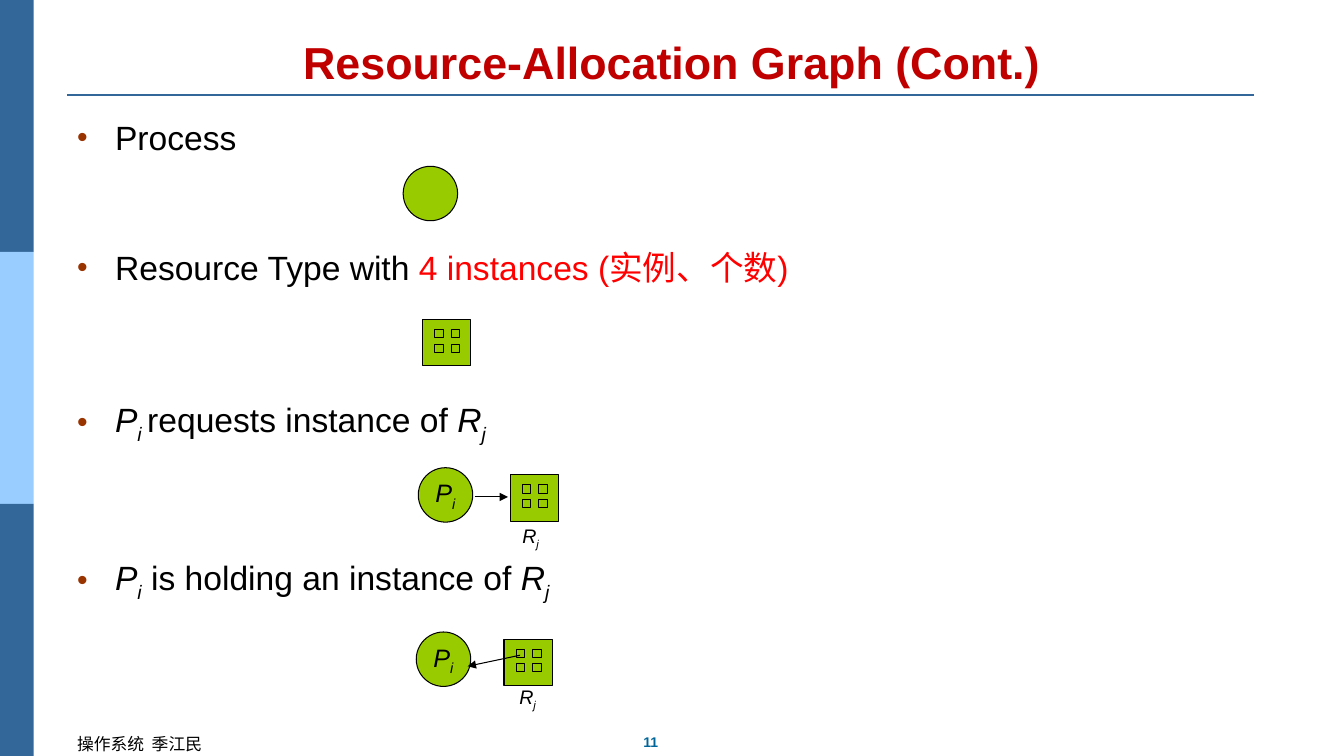
import pptx
import pptx.util
import pptx.dml.color
import pptx.enum.shapes
import pptx.enum.text
import pptx.oxml.ns
from lxml import etree

Pt = pptx.util.Pt
SHAPE = pptx.enum.shapes.MSO_SHAPE
ALIGN = pptx.enum.text.PP_ALIGN
ANCHOR = pptx.enum.text.MSO_ANCHOR
qn = pptx.oxml.ns.qn

COLORS = {"band": "336699", "band_light": "99CCFF", "title": "C00000",
          "page": "006699", "bullet": "993300", "accent": "FF0000",
          "node": "99CC00", "ink": "000000"}
COLS, ROWS = 40, 22.5  # square grid, three units to the inch
NODE, BOX_W, BOX_H = 1.62, 1.44, 1.38
ITALIC = {"italic": True}
SUB = {"italic": True, "baseline": -25000}
PI = [("P", ITALIC), ("i", SUB)]
RJ = [("R", ITALIC), ("j", SUB)]


def unit(n):
    """Turn grid units into a length."""
    return pptx.util.Inches(n / 3)


def rgb(name):
    """Look up a named colour."""
    return pptx.dml.color.RGBColor.from_string(COLORS[name])


def apply(obj, fmt):
    """Set attributes of obj from a dict."""
    for key, value in fmt.items():
        setattr(obj, key, value)


def add_runs(p, runs, size, color="ink", bold=False):
    """Fill a paragraph with (text, format) runs."""
    for text, extra in runs:
        fmt = {"name": "Arial", "size": Pt(size), "bold": bold, **extra}
        baseline = fmt.pop("baseline", None)
        r = p.add_run()
        r.text = text
        r.font.color.rgb = rgb(fmt.pop("color", color))
        apply(r.font, fmt)
        if baseline:
            r.font._element.set("baseline", str(baseline))


def add_text(shapes, box, runs, size, color="ink", bold=False,
             align=ALIGN.CENTER, **frame):
    """Add a one-paragraph text box."""
    tf = shapes.add_textbox(*map(unit, box)).text_frame
    apply(tf, {"word_wrap": True, **frame})
    p = tf.paragraphs[0]
    p.alignment = align
    add_runs(p, runs, size, color, bold)


def add_bullets(s, box, items):
    """Add bulleted paragraphs given as (space before, runs)."""
    tf = s.shapes.add_textbox(*map(unit, box)).text_frame
    apply(tf, {"word_wrap": True, "margin_top": unit(0.24)})
    for i, (before, runs) in enumerate(items):
        p = tf.paragraphs[0] if i == 0 else tf.add_paragraph()
        p.space_before = Pt(before)
        pPr = p._p.get_or_add_pPr()
        indent = unit(1.13)
        pPr.set("marL", str(indent))
        pPr.set("indent", str(-indent))
        clr = etree.SubElement(pPr, qn("a:buClr"))
        etree.SubElement(clr, qn("a:srgbClr"), val=COLORS["bullet"])
        etree.SubElement(pPr, qn("a:buSzPct"), val="90000")
        etree.SubElement(pPr, qn("a:buFont"), typeface="Arial")
        etree.SubElement(pPr, qn("a:buChar"), char="•")
        add_runs(p, runs, 24)


def add_block(shapes, kind, box, fill="node", outlined=True):
    """Add a filled preset shape."""
    sp = shapes.add_shape(kind, *map(unit, box))
    sp.shadow.inherit = False
    sp.fill.solid()
    sp.fill.fore_color.rgb = rgb(fill)
    if outlined:
        sp.line.color.rgb = rgb("ink")
        sp.line.width = Pt(0.75)
    else:
        sp.line.fill.background()
    return sp


def add_line(shapes, ends, color="ink", width=0.75, arrow=False):
    """Add a straight line, with an arrowhead at its end if wanted."""
    cx = shapes.add_connector(pptx.enum.shapes.MSO_CONNECTOR.STRAIGHT,
                              *map(unit, ends))
    cx.line.color.rgb = rgb(color)
    cx.line.width = Pt(width)
    if arrow:
        etree.SubElement(cx.line._get_or_add_ln(), qn("a:tailEnd"),
                         type="triangle")
    etree.SubElement(cx._element.spPr, qn("a:effectLst"))


def add_process(shapes, x, y, runs=()):
    """Add a process circle with an optional label."""
    tf = add_block(shapes, SHAPE.OVAL, (x, y, NODE, NODE)).text_frame
    apply(tf, {"word_wrap": False, "vertical_anchor": ANCHOR.MIDDLE})
    p = tf.paragraphs[0]
    p.alignment = ALIGN.CENTER
    add_runs(p, runs, 18)


def add_resource(shapes, x, y):
    """Add a resource box holding two by two instances."""
    add_block(shapes, SHAPE.RECTANGLE, (x, y, BOX_W, BOX_H))
    for row in range(2):
        for col in range(2):
            add_block(shapes, SHAPE.RECTANGLE,
                      (x + 0.37 + 0.49 * col, y + 0.3 + 0.43 * row, 0.25, 0.25))


def add_relation(s, process, resource, arrow, label):
    """Add a grouped process and resource joined by an arrow."""
    shapes = s.shapes.add_group_shape().shapes
    add_process(shapes, *process, PI)
    add_resource(shapes, *resource)
    add_line(shapes, arrow, arrow=True)
    add_text(shapes, (*label, 1.11, 1.02), RJ, 14, word_wrap=False,
             vertical_anchor=ANCHOR.MIDDLE)


def add_frame(s):
    """Add side bands, title rule, footer and page number."""
    band = ROWS / 3
    for i, fill in enumerate(("band", "band_light", "band")):
        add_block(s.shapes, SHAPE.RECTANGLE, (0, i * band, 1, band), fill, False)
    add_line(s.shapes, (2, 2.82, 37.32, 2.82), "band", 1.5)
    add_text(s.shapes, (18.81, 21.69, 1.11, 0.81), [("11", {})], 10, "page",
             True, word_wrap=False)
    add_text(s.shapes, (2, 21.69, 10.44, 0.9), [("操作系统  季江民", {})], 12,
             align=ALIGN.LEFT)


def main():
    """Build the slide."""
    prs = pptx.Presentation()
    apply(prs, {"slide_width": unit(COLS), "slide_height": unit(ROWS)})
    s = prs.slides.add_slide(prs.slide_layouts[6])
    add_frame(s)
    add_text(s.shapes, (2, 0.9, 36, 1.89),
             [("Resource-Allocation Graph (Cont.)", {})], 32, "title", True,
             vertical_anchor=ANCHOR.BOTTOM)
    add_bullets(s, (2, 3.24, 36, 14.85), [
        (0, [("Process", {})]),
        (64, [("Resource Type with ", {}),
              ("4 instances (实例、个数)", {"color": "accent"})]),
        (80, [("P", ITALIC), ("i ", SUB), ("requests instance of ", {}), *RJ]),
        (80, [*PI, (" is holding an instance of ", {}), *RJ]),
    ])
    add_process(s.shapes, 12, 4.95)
    add_resource(s.shapes.add_group_shape().shapes, 12.57, 9.51)
    add_relation(s, (12.45, 13.92), (15.18, 14.13),
                 (14.13, 14.79, 15.12, 14.79), (15.24, 15.48))
    add_relation(s, (12.39, 18.81), (15, 19.02),
                 (15.48, 19.5, 13.92, 19.83), (15.15, 20.28))
    prs.save("out.pptx")


main()
